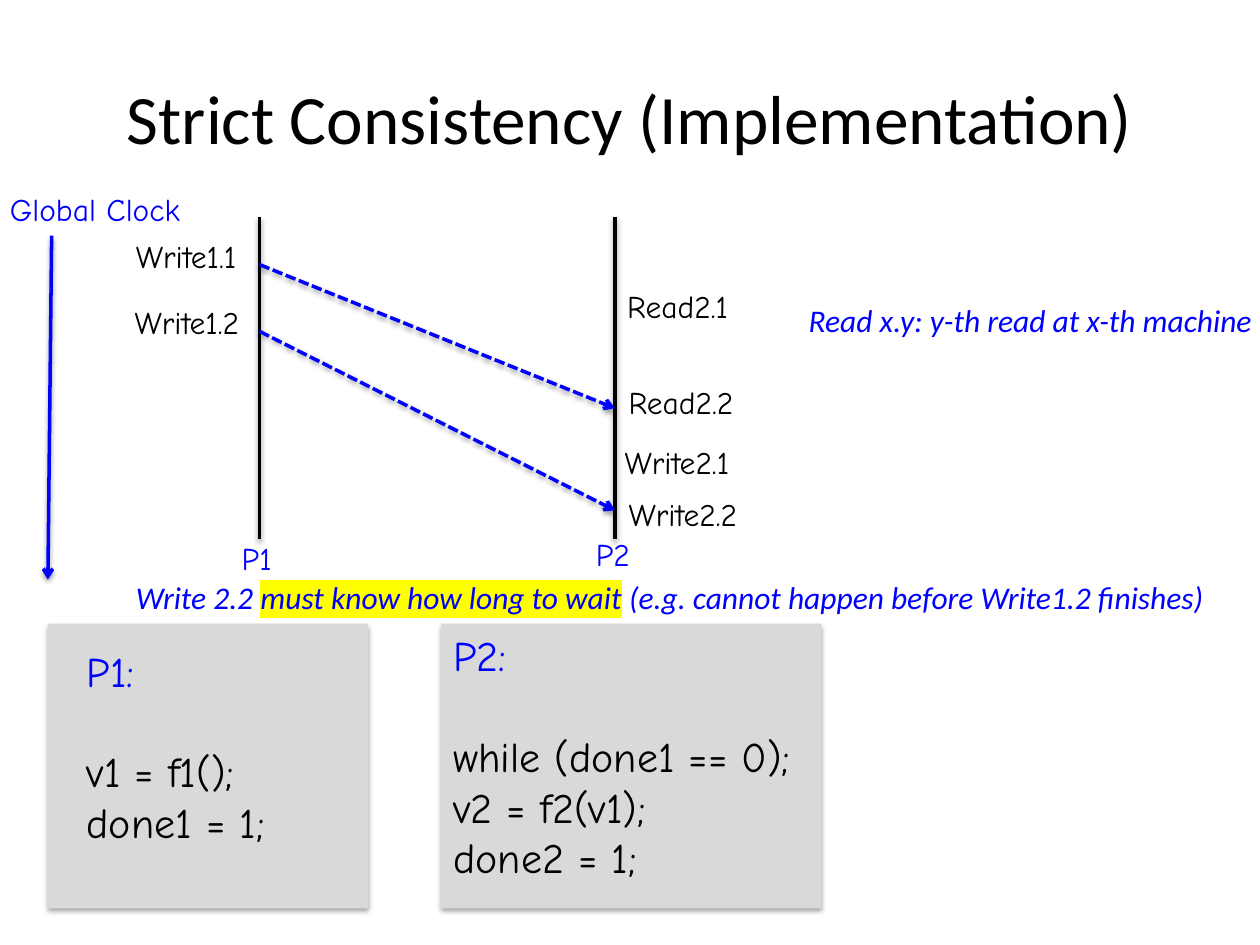
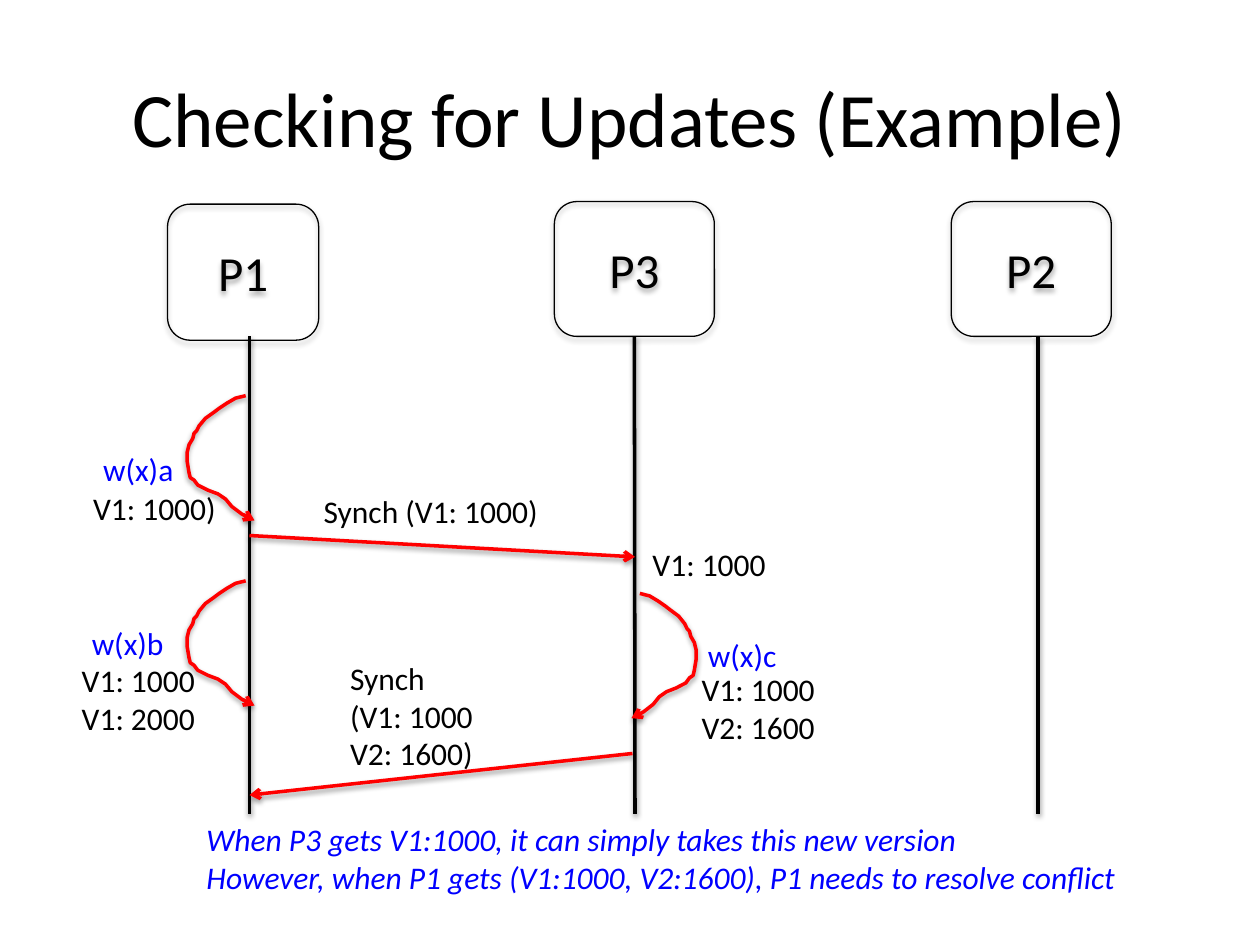
import dataclasses

import lxml.etree
import pptx
import pptx.dml.color
import pptx.enum.dml
import pptx.enum.shapes
import pptx.enum.text
import pptx.oxml.ns
import pptx.util

# The slide is a grid of 100 columns by 75 rows
SLIDE_WIDTH = pptx.util.Inches(10)
SLIDE_HEIGHT = pptx.util.Inches(7.5)
COLUMNS, ROWS = 100, 75
ALIGN = pptx.enum.text.PP_ALIGN
SHAPES = pptx.enum.shapes.MSO_SHAPE


@dataclasses.dataclass(frozen=True)
class Theme:
    black: str = "000000"
    blue: str = "0000FF"
    red: str = "FF0000"
    panel: str = "D9D9D9"
    highlight: str = "FFFF00"
    line_width: float = 2
    outline_width: float = 0.75
    code_line: float = 28.8


THEME = Theme()
BODY, HAND = "Calibri", "Comic Neue"
LABEL = {"name": BODY, "size": pptx.util.Pt(18)}
NOTE = {**LABEL, "italic": True}
EVENT = {"name": HAND, "size": pptx.util.Pt(18)}
CODE = {"name": HAND, "size": pptx.util.Pt(24)}
NODE = {"name": BODY, "size": pptx.util.Pt(28)}

# Self-update loop: columns and rows from its left top corner
LOOP = [(4.7, 0), (3.9, 0.2), (3.2, 0.6), (2.6, 1), (2.2, 1.3), (1.5, 1.8),
        (1, 2.4), (0.8, 2.8), (0.6, 3), (0.5, 3.4), (0.2, 3.9), (0.05, 4.5),
        (0.05, 5.2), (0.2, 6.1), (0.3, 6.5), (0.6, 6.7), (0.9, 7.1),
        (1.7, 7.5), (2.5, 7.8), (3.1, 8.2), (3.6, 8.8), (4.4, 9.4),
        (4.8, 9.6), (5.4, 9.9)]


def across(columns):
    return round(SLIDE_WIDTH * columns / COLUMNS)


def down(rows):
    return round(SLIDE_HEIGHT * rows / ROWS)


def place(left, top, width, height):
    return across(left), down(top), across(width), down(height)


def rgb(color):
    return pptx.dml.color.RGBColor.from_string(color)


# Formatting
def format_font(font, style, color):
    for name, value in style.items():
        setattr(font, name, value)
    font.color.rgb = rgb(color)


def add_element(parent, tag, **attributes):
    element = lxml.etree.SubElement(parent, pptx.oxml.ns.qn(tag))
    for name, value in attributes.items():
        element.set(name, str(value))
    return element


def add_shadow(shape, distance=1.8, opacity=35):
    effects = add_element(shape._element.spPr, "a:effectLst")
    shadow = add_element(effects, "a:outerShdw", blurRad=pptx.util.Pt(3.1),
                         dist=pptx.util.Pt(distance), dir=5400000,
                         rotWithShape=0)
    color = add_element(shadow, "a:srgbClr", val=THEME.black)
    add_element(color, "a:alpha", val=opacity * 1000)


def format_line(shape, color, arrow=False, dashed=False):
    line = shape.line
    line.color.rgb = rgb(color)
    line.width = pptx.util.Pt(THEME.line_width)
    if dashed:
        line.dash_style = pptx.enum.dml.MSO_LINE.SQUARE_DOT
    if arrow:
        add_element(line._get_or_add_ln(), "a:tailEnd", type="arrow")
    add_shadow(shape, distance=1.6, opacity=38)


def highlight(run):
    latin = run.font._element.find(pptx.oxml.ns.qn("a:latin"))
    mark = add_element(run.font._element, "a:highlight")
    add_element(mark, "a:srgbClr", val=THEME.highlight)
    latin.addprevious(mark)


# Kinds of element
def add_titled_slide(presentation, title, size):
    slide = presentation.slides.add_slide(presentation.slide_layouts[5])
    shape = slide.shapes.title
    shape.left, shape.top, shape.width, shape.height = place(5, 3, 90, 12.5)
    frame = shape.text_frame
    frame.text = title
    frame.vertical_anchor = pptx.enum.text.MSO_ANCHOR.MIDDLE
    paragraph = frame.paragraphs[0]
    paragraph.alignment = ALIGN.CENTER
    style = {"name": BODY, "size": pptx.util.Pt(size)}
    format_font(paragraph.runs[0].font, style, THEME.black)
    return slide


def add_text(slide, box, lines, style, color=THEME.black, indented=False):
    """Indented text wraps in its box; other text keeps its own width."""
    shape = slide.shapes.add_textbox(*place(*box))
    frame = shape.text_frame
    frame.word_wrap = indented
    frame.auto_size = pptx.enum.text.MSO_AUTO_SIZE.SHAPE_TO_FIT_TEXT
    for number, line in enumerate(lines):
        paragraph = frame.add_paragraph() if number else frame.paragraphs[0]
        if indented:
            paragraph.level = 1
            paragraph.alignment = ALIGN.JUSTIFY
        run = paragraph.add_run()
        run.text = line
        format_font(run.font, style, color)
    return frame


def add_event(slide, left, top, text):
    add_text(slide, (left, top, 50, 4), [text], EVENT, indented=True)


def add_code_panel(slide, panel, box, lines):
    shape = slide.shapes.add_shape(SHAPES.RECTANGLE, *place(*panel))
    shape.fill.solid()
    shape.fill.fore_color.rgb = rgb(THEME.panel)
    shape.line.fill.background()
    add_shadow(shape)
    frame = add_text(slide, box, lines, CODE, indented=True)
    heading, first_statement = frame.paragraphs[:2]
    heading.runs[0].font.color.rgb = rgb(THEME.blue)
    first_statement.space_before = pptx.util.Pt(THEME.code_line)


def add_line(slide, start, end, color=THEME.black, node=None, **options):
    connector = slide.shapes.add_connector(
        pptx.enum.shapes.MSO_CONNECTOR.STRAIGHT,
        across(start[0]), down(start[1]), across(end[0]), down(end[1]))
    if node is not None:
        connector.begin_connect(node, 2)
    format_line(connector, color, **options)


def add_node(slide, box, name):
    shape = slide.shapes.add_shape(SHAPES.ROUNDED_RECTANGLE, *place(*box))
    shape.fill.background()
    shape.line.color.rgb = rgb(THEME.black)
    shape.line.width = pptx.util.Pt(THEME.outline_width)
    add_shadow(shape)
    paragraph = shape.text_frame.paragraphs[0]
    paragraph.alignment = ALIGN.CENTER
    run = paragraph.add_run()
    run.text = name
    format_font(run.font, NODE, THEME.black)
    return shape


def add_update_loop(slide, edge, top, stretch=1):
    """Draw a loop from its outer edge; a negative stretch mirrors it."""
    points = [(across(edge + stretch * x), down(top + y)) for x, y in LOOP]
    builder = slide.shapes.build_freeform(*points[0])
    builder.add_line_segments(points[1:], close=False)
    shape = builder.convert_to_shape()
    shape.fill.background()
    format_line(shape, THEME.red, arrow=True)


# Slides
def build_strict_consistency(presentation):
    slide = add_titled_slide(
        presentation, "Strict Consistency (Implementation)", 39.6)
    add_code_panel(slide, (3.8, 49.5, 25.4, 22.6), (0.9, 50.7, 32, 17.2),
                   ["P1:", "v1 = f1();", "done1 = 1;"])
    add_code_panel(slide, (35, 49.5, 30.2, 22.6), (30, 49.5, 37.3, 21.2),
                   ["P2:", "while (done1 == 0);", "v2 = f2(v1);",
                    "done2 = 1;"])

    # Process timelines and global clock
    first, second = 20.6, 48.8
    for column in (first, second):
        add_line(slide, (column, 17.2), (column, 42.8))
    for left, top, name in [(18.2, 42.3, "P1"), (46.3, 42, "P2")]:
        add_text(slide, (left, top, 4.9, 4), [name], EVENT, THEME.blue)
    add_line(slide, (4.1, 18.7), (3.8, 46), THEME.blue, arrow=True)
    add_text(slide, (-0.2, 14.6, 15.9, 4), ["Global Clock"], EVENT, THEME.blue)

    # Events and the writes that travel from P1 to P2
    for left, top, text in [(4.8, 18.3, "Write1.1"), (4.7, 23.6, "Write1.2"),
                            (43.8, 22.3, "Read2.1"), (43.9, 29.9, "Read2.2"),
                            (43.6, 34.7, "Write2.1"),
                            (43.9, 38.8, "Write2.2")]:
        add_event(slide, left, top, text)
    for sent, received in [(21, 32.4), (26.3, 40.5)]:
        add_line(slide, (first, sent), (second, received), THEME.blue,
                 arrow=True, dashed=True)

    # Notes
    add_text(slide, (58.2, 23.4, 50, 4),
             ["Read x.y: y-th read at x-th machine"], NOTE, THEME.blue,
             indented=True)
    frame = add_text(slide, (9.8, 45.4, 88.6, 4), ["Write 2.2 "], NOTE,
                     THEME.blue)
    paragraph = frame.paragraphs[0]
    for text, marked in [
            ("must know how long to wait", True),
            (" (e.g. cannot happen before Write1.2 finishes)", False)]:
        run = paragraph.add_run()
        run.text = text
        format_font(run.font, NOTE, THEME.blue)
        if marked:
            highlight(run)


def build_checking_updates(presentation):
    slide = add_titled_slide(
        presentation, "Checking for Updates (Example)", 44)

    # Nodes and lifelines
    first, third, second, bottom = 19.8, 50.4, 82.4, 64.6
    add_node(slide, (13.3, 16.2, 12, 10.8), "P1")
    add_node(slide, (75.5, 16, 12.7, 10.7), "P2")
    middle_node = add_node(slide, (44, 16, 12.7, 10.7), "P3")
    for column, node in [(first, None), (second, None), (third, middle_node)]:
        add_line(slide, (column, 26.7), (column, bottom), node=node)

    # Local updates
    for edge, top, stretch in [(14.8, 31.4, 1), (14.8, 46.1, 1),
                               (55.3, 47.1, -0.96)]:
        add_update_loop(slide, edge, top, stretch)
    for left, top, width, text in [(7.2, 35.2, 7.7, "w(x)a"),
                                   (6.3, 49, 7.8, "w(x)b"),
                                   (55.2, 50, 7.5, "w(x)c")]:
        add_text(slide, (left, top, width, 4), [text], LABEL, THEME.blue)

    # Synchronisation messages
    for start, end in [((first, 42.5), (third, 44.2)),
                       ((50.2, 59.8), (first, 63.1))]:
        add_line(slide, start, end, THEME.red, arrow=True)

    # Versions held or sent
    for left, top, width, lines in [
            (24.7, 38.6, 19.2, ["Synch (V1: 1000)"]),
            (6.4, 38.3, 11.9, ["V1: 1000)"]),
            (5.5, 52, 11.1, ["V1: 1000", "V1: 2000"]),
            (50.8, 42.8, 11.1, ["V1: 1000"]),
            (54.7, 52.7, 11.1, ["V1: 1000", "V2: 1600"]),
            (26.8, 51.8, 11.9, ["Synch", "(V1: 1000", "V2: 1600)"])]:
        height = 1 + 3.03 * len(lines)
        add_text(slide, (left, top, width, height), lines, LABEL)

    add_text(slide, (15.4, 64.6, 75.8, 7.1), [
        "When P3 gets V1:1000, it can simply takes this new version",
        "However, when P1 gets (V1:1000, V2:1600), P1 needs to resolve "
        "conflict"], NOTE, THEME.blue)


def main():
    presentation = pptx.Presentation()
    presentation.slide_width = SLIDE_WIDTH
    presentation.slide_height = SLIDE_HEIGHT
    build_strict_consistency(presentation)
    build_checking_updates(presentation)
    presentation.save("out.pptx")


if __name__ == "__main__":
    main()
